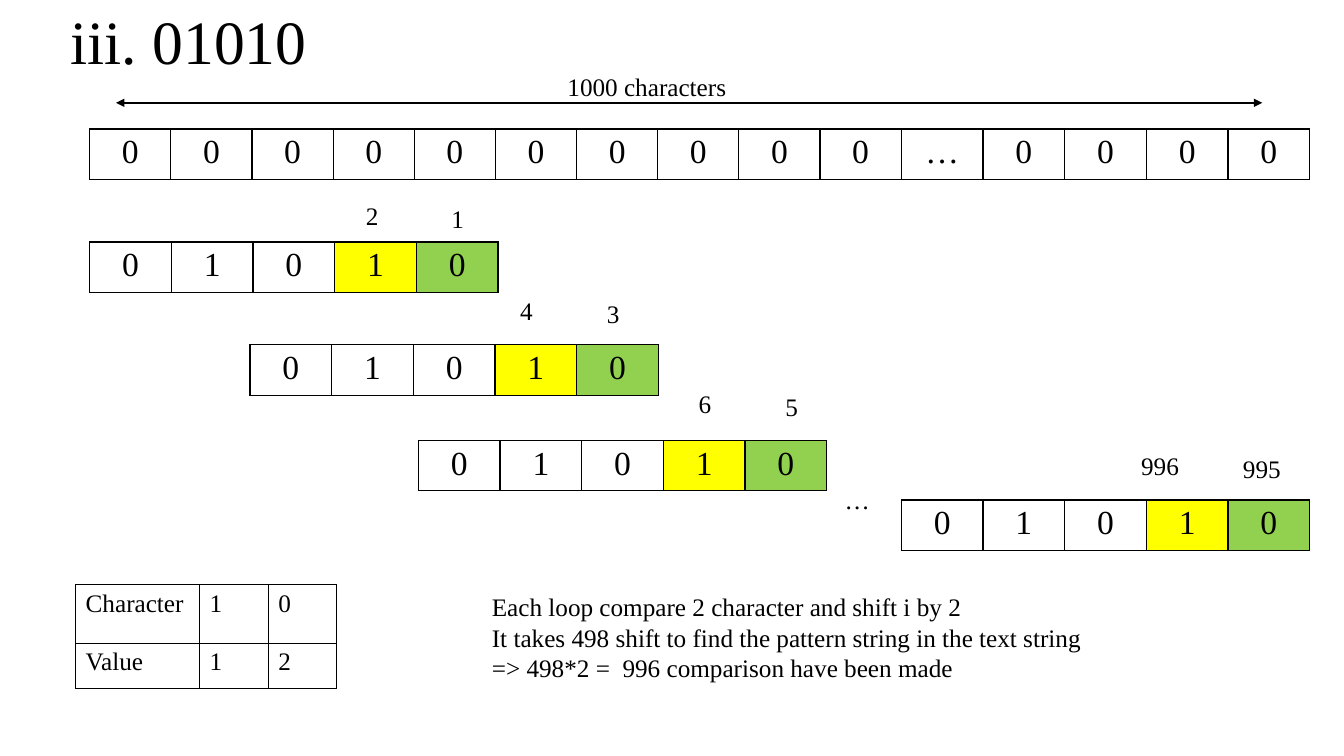
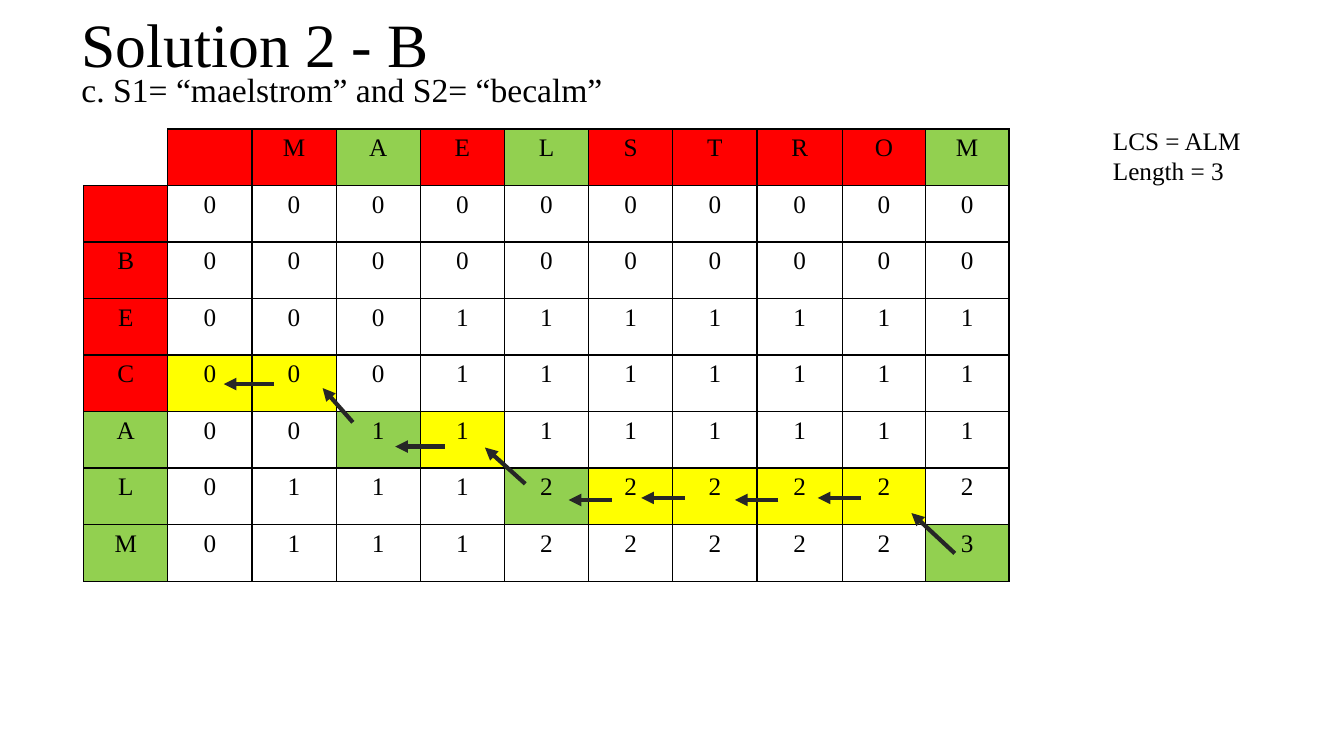
from lxml.etree import SubElement as Sub
from pptx import Presentation
from pptx.dml.color import RGBColor
from pptx.enum.shapes import MSO_CONNECTOR as Conn
from pptx.enum.text import MSO_ANCHOR as Anchor, PP_ALIGN as Align
from pptx.oxml.ns import qn
from pptx.util import Inches, Pt

BLACK = RGBColor(0x00, 0x00, 0x00)
DARK = RGBColor(0x26, 0x26, 0x26)
WHITE = RGBColor(0xFF, 0xFF, 0xFF)
RED = RGBColor(0xFF, 0x00, 0x00)
GREEN = RGBColor(0x92, 0xD0, 0x50)
YELLOW = RGBColor(0xFF, 0xFF, 0x00)
TINTS = {"w": WHITE, "r": RED, "g": GREEN, "y": YELLOW}
FONT = "Times New Roman"
TITLE = {"size": 44, "anchor": Anchor.MIDDLE, "space": 0.9}
SUB = {"size": 24, "anchor": Anchor.MIDDLE, "space": 0.9}
BODY = {"size": 18, "anchor": Anchor.TOP, "space": 1.0}


def write(frame, lines, size, align=Align.LEFT, space=1.0):
    for i, line in enumerate(lines):
        para = frame.paragraphs[0] if i == 0 else frame.add_paragraph()
        para.alignment = align
        para.line_spacing = space
        para.text = line
        look = {"name": FONT, "size": Pt(size)}
        for key, value in look.items():
            setattr(para.font, key, value)
        para.font.color.rgb = BLACK


def grid(slide, x, y, cols, rows, texts, tints, size, align=Align.CENTER):
    frame = slide.shapes.add_table(len(rows), len(cols), Inches(x), Inches(y),
                                   Inches(sum(cols)), Inches(sum(rows)))
    table = frame.table
    table.first_row = table.horz_banding = False
    for col, wide in zip(table.columns, cols):
        col.width = Inches(wide)
    for row, high in zip(table.rows, rows):
        row.height = Inches(high)
    for r, line in enumerate(texts):
        for c, text in enumerate(line):
            cell = table.cell(r, c)
            write(cell.text_frame, [text.strip()], size, align)
            props = cell._tc.get_or_add_tcPr()
            tint = tints[r][c]
            for side in "LRTB":
                edge = Sub(props, qn(f"a:ln{side}"), w=str(Pt(1)))
                # A dash marks a cell with no outer edges
                if tint == "-" and side in "LT":
                    Sub(edge, qn("a:noFill"))
                else:
                    ink = Sub(edge, qn("a:solidFill"))
                    Sub(ink, qn("a:srgbClr"), val=str(BLACK))
            cell.fill.solid()
            cell.fill.fore_color.rgb = TINTS.get(tint, WHITE)


deck = Presentation()
deck.slide_width, deck.slide_height = Inches(13.33), Inches(7.5)
blank = deck.slide_layouts[6]
match, lcs = [deck.slides.add_slide(blank) for _ in range(2)]

# Text boxes: slide, left, top, width, height, style, lines
notes = [
    (match, 0.6, 0, 10.32, 0.89, TITLE, ["iii. 01010"]),
    (match, 5.53, 0.66, 2.57, 0.4, BODY, ["1000 characters"]),
    (match, 8.28, 4.76, 0.6, 0.4, BODY, ["…"]),
    (match, 4.78, 5.82, 7.41, 1.01, BODY, [
        "Each loop compare 2 character and shift i by 2",
        "It takes 498 shift to find the pattern string in the text string",
        "=> 498*2 =  996 comparison have been made"]),
    (lcs, 0.71, 0.03, 10.32, 0.89, TITLE, ["Solution 2 - B"]),
    (lcs, 0.71, 0.71, 10.32, 0.4, SUB, ["c. S1= “maelstrom” and S2= “becalm”"]),
    (lcs, 10.94, 1.19, 2.3, 0.71, BODY, ["LCS = ALM", "Length = 3"]),
]

# Text string of 1000 characters, in two parts
CELLS = [0.81] * 5
grid(match, 0.89, 1.28, [0.805] * 10, [0.5], ["0" * 10], ["w" * 10], 24)
grid(match, 8.94, 1.28, CELLS, [0.5], ["…0000"], ["wwwww"], 24)

# Shifted pattern, with the count of comparisons above its last two cells
shifts = [
    (0.89, 2.4, 1, 4.38, 1.97, 0.85),
    (2.48, 3.42, 3, 5.92, 2.91, 0.86),
    (4.15, 4.37, 5, 7.69, 3.83, 0.86),
    (8.94, 4.96, 995, 12.23, 4.45, 1.01),
]
for x, y, count, left, top, gap in shifts:
    grid(match, x, y, CELLS, [0.5], ["01010"], ["wwwyg"], 24)
    notes.append((match, left, top, 0.7, 0.4, BODY, [str(count)]))
    notes.append((match, left - gap, top - 0.03, 0.7, 0.4, BODY, [str(count + 1)]))

# Shift values
grid(match, 0.75, 5.8, [1.23, 0.68, 0.68], [0.58, 0.45],
     [["Character", "1", "0"], ["Value", "1", "2"]], ["www"] * 2, 18, Align.LEFT)

# LCS table
chart = [
    ("  MAELSTROM", "-rrgrgrrrrg"),
    (" 0000000000", "rwwwwwwwwww"),
    ("B0000000000", "rwwwwwwwwww"),
    ("E0001111111", "rwwwwwwwwww"),
    ("C0001111111", "ryywwwwwwww"),
    ("A0011111111", "gwwgywwwwww"),
    ("L0111222222", "gwwwwgyyyyw"),
    ("M0111222223", "gwwwwwwwwwg"),
]
texts, tints = zip(*chart)
grid(lcs, 0.83, 1.28, [0.835] * 8 + [0.85, 0.82, 0.83], [0.561] * 8, texts, tints, 18)

# Place the text boxes
for slide, x, y, w, h, style, lines in notes:
    frame = slide.shapes.add_textbox(Inches(x), Inches(y), Inches(w), Inches(h)).text_frame
    frame.word_wrap = True
    frame.vertical_anchor = style["anchor"]
    write(frame, lines, style["size"], space=style["space"])

# Arrows: the full length of the text, then the trace back through the table
arrows = [(match, 1.15, 1.02, 12.52, 1.02, BLACK, 1.5, ["headEnd", "tailEnd"])]
trace = [
    (9.47, 5.49, 9.04, 5.09),
    (8.54, 4.94, 8.11, 4.94),
    (7.72, 4.96, 7.29, 4.96),
    (6.79, 4.94, 6.36, 4.94),
    (6.07, 4.96, 5.64, 4.96),
    (5.21, 4.8, 4.81, 4.44),
    (4.41, 4.43, 3.92, 4.43),
    (3.5, 4.19, 3.2, 3.85),
    (2.72, 3.81, 2.22, 3.81),
]
arrows += [(lcs, *ends, DARK, 3, ["tailEnd"]) for ends in trace]
for slide, x1, y1, x2, y2, color, width, tips in arrows:
    arrow = slide.shapes.add_connector(Conn.STRAIGHT, Inches(x1), Inches(y1),
                                       Inches(x2), Inches(y2))
    arrow.line.color.rgb = color
    arrow.line.width = Pt(width)
    for tip in tips:
        Sub(arrow.line._get_or_add_ln(), qn(f"a:{tip}"), type="triangle")
    Sub(arrow._element.spPr, qn("a:effectLst"))

deck.save("out.pptx")
